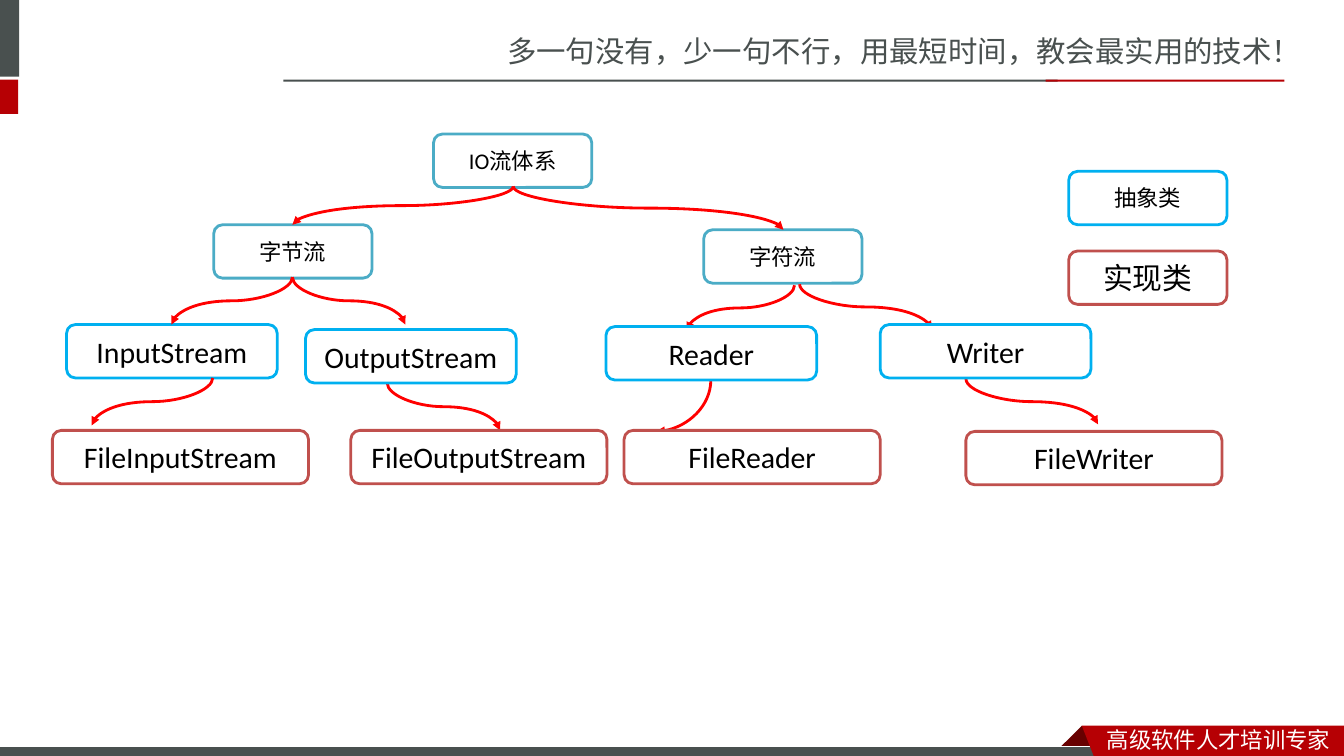
from lxml import etree
from pptx import Presentation
from pptx.dml.color import RGBColor
from pptx.enum import shapes, text
from pptx.oxml.ns import qn
from pptx.util import Inches, Pt

GREY = RGBColor(0x49, 0x50, 0x4F)
CRIMSON = RGBColor(0xB6, 0x00, 0x04)
MAROON = RGBColor(0x68, 0x00, 0x00)
WHITE = RGBColor(0xFF, 0xFF, 0xFF)
BLACK = RGBColor(0x00, 0x00, 0x00)
RED = RGBColor(0xFF, 0x00, 0x00)
TEAL = RGBColor(0x4B, 0xAC, 0xC6)   # stream families
BLUE = RGBColor(0x00, 0xB0, 0xF0)   # abstract classes
BRICK = RGBColor(0xC0, 0x50, 0x4D)  # concrete classes

LATIN, CJK = "Calibri", "Noto Sans CJK SC"
SMALL, LARGE = 16, 21.3
FAMILY_W, ABSTRACT_W, CONCRETE_W, BOX_H = 1.57, 2.09, 2.54, 0.53

# label, left, top, width, outline, size
BACK_BOXES = [
    ("字节流", 2.12, 2.23, FAMILY_W, TEAL, SMALL),
    ("InputStream", 0.66, 3.22, ABSTRACT_W, BLUE, LARGE),
    ("字符流", 6.98, 2.28, FAMILY_W, TEAL, SMALL),
    ("IO流体系", 4.3, 1.33, FAMILY_W, TEAL, SMALL),
    ("抽象类", 10.6, 1.7, FAMILY_W, BLUE, SMALL),
    ("FileInputStream", 0.52, 4.27, CONCRETE_W, BRICK, LARGE),
]
FRONT_BOXES = [
    ("OutputStream", 3.03, 3.27, ABSTRACT_W, BLUE, LARGE),
    ("Reader", 6.01, 3.24, ABSTRACT_W, BLUE, LARGE),
    ("Writer", 8.73, 3.22, ABSTRACT_W, BLUE, LARGE),
    ("实现类", 10.6, 2.49, FAMILY_W, BRICK, LARGE),
    ("FileOutputStream", 3.48, 4.27, CONCRETE_W, BRICK, LARGE),
    ("FileReader", 6.19, 4.27, CONCRETE_W, BRICK, LARGE),
    ("FileWriter", 9.58, 4.28, CONCRETE_W, BRICK, LARGE),
]
# start x, start y, end x, end y
ARROWS = [
    (5.09, 1.85, 2.9, 2.23), (5.09, 1.85, 7.77, 2.28),
    (2.9, 2.75, 1.7, 3.22), (2.9, 2.75, 4.02, 3.22),
    (7.88, 2.83, 6.81, 3.28), (7.93, 2.82, 9.24, 3.27),
    (2.11, 3.75, 0.91, 4.22), (3.84, 3.8, 4.96, 4.27),
    (9.58, 3.76, 10.89, 4.21),
]
QUARTER_ARROW = (7.05, 3.77, 6.51, 4.28)


def write(tf, words, size, color, font):
    p = tf.paragraphs[0]
    r = p.add_run()
    r.text = words
    r.font.size = Pt(size)
    r.font.name = font
    r.font.color.rgb = color
    etree.SubElement(r._r.get_or_add_rPr(), qn("a:ea")).set("typeface", CJK)
    return p


def paint(sp, fill, line=None, width=0.75):
    sp.shadow.inherit = False
    sp.fill.solid()
    sp.fill.fore_color.rgb = fill
    if line is None:
        sp.line.fill.background()
    else:
        sp.line.color.rgb = line
        sp.line.width = Pt(width)


def add_bar(s, left, top, width, height, fill, line=None):
    sp = s.shapes.add_shape(shapes.MSO_SHAPE.RECTANGLE, Inches(left), Inches(top),
                            Inches(width), Inches(height))
    paint(sp, fill, line)


def add_outline(s, points, fill):
    start, *rest = [(Inches(x), Inches(y)) for x, y in points]
    builder = s.shapes.build_freeform(*start)
    builder.add_line_segments(rest, close=True)
    paint(builder.convert_to_shape(), fill)


def add_box(s, label, left, top, width, outline, size):
    sp = s.shapes.add_shape(shapes.MSO_SHAPE.ROUNDED_RECTANGLE, Inches(left),
                            Inches(top), Inches(width), Inches(BOX_H))
    paint(sp, WHITE, outline, 2)
    tf = sp.text_frame
    tf.vertical_anchor = text.MSO_ANCHOR.MIDDLE
    write(tf, label, size, BLACK, LATIN).alignment = text.PP_ALIGN.CENTER


def add_arrow(s, x1, y1, x2, y2, preset="curvedConnector3"):
    """Curve that leaves downwards: laid out sideways, then turned a quarter."""
    mid_x, mid_y = (x1 + x2) / 2, (y1 + y2) / 2
    half_h = abs(x2 - x1) / 2
    half_w = (y2 - y1) / 2 if x2 < x1 else (y1 - y2) / 2
    line = s.shapes.add_connector(
        shapes.MSO_CONNECTOR.CURVE,
        Inches(mid_x - half_w), Inches(mid_y - half_h),
        Inches(mid_x + half_w), Inches(mid_y + half_h))
    line.line.color.rgb = RED
    line.line.width = Pt(2)
    spPr = line._element.spPr
    spPr.find(qn("a:xfrm")).set("rot", str((90 if x2 < x1 else 270) * 60000))
    spPr.find(qn("a:prstGeom")).set("prst", preset)
    etree.SubElement(spPr.find(qn("a:ln")), qn("a:tailEnd")).set("type", "triangle")
    etree.SubElement(spPr, qn("a:effectLst"))


def add_title(s):
    title = s.shapes.title
    title.left, title.top = Inches(4.93), Inches(0.28)
    title.width, title.height = Inches(8.41), Inches(0.47)
    tf = title.text_frame
    tf.word_wrap = True
    tf.auto_size = text.MSO_AUTO_SIZE.NONE
    tf.vertical_anchor = text.MSO_ANCHOR.TOP
    p = write(tf, "多一句没有，少一句不行，用最短时间，教会最实用的技术！", 21, GREY, CJK)
    p.alignment = text.PP_ALIGN.LEFT


def add_frame(s):
    # Side marks and the rule under the title
    add_bar(s, -0.06, 0, 0.25, 0.76, GREY)
    add_bar(s, -0.06, 0.79, 0.24, 0.34, CRIMSON)
    add_bar(s, 2.81, 0.79, 7.68, 0.02, GREY)
    add_bar(s, 10.37, 0.79, 2.37, 0.02, CRIMSON)
    # Footer ribbon
    add_outline(s, [(10.73, 7.2), (10.95, 7.42), (10.94, 7.43),
                    (10.52, 7.43), (10.51, 7.42)], MAROON)
    add_bar(s, -0.01, 7.41, 11, 0.12, GREY, WHITE)
    add_outline(s, [(10.73, 7.2), (13.33, 7.2), (13.33, 7.54), (10.86, 7.53)], CRIMSON)
    footer = s.shapes.add_textbox(Inches(10.88), Inches(7.15), Inches(2.45), Inches(0.37))
    footer.text_frame.word_wrap = True
    write(footer.text_frame, "高级软件人才培训专家", 16, WHITE, CJK)


def main():
    prs = Presentation()
    prs.slide_width, prs.slide_height = Inches(13.33), Inches(7.5)
    s = prs.slides.add_slide(prs.slide_layouts[5])
    add_title(s)
    add_frame(s)
    # Class tree and legend
    for box in BACK_BOXES:
        add_box(s, *box)
    for arrow in ARROWS:
        add_arrow(s, *arrow)
    add_arrow(s, *QUARTER_ARROW, preset="curvedConnector2")
    for box in FRONT_BOXES:
        add_box(s, *box)
    prs.save("out.pptx")


if __name__ == "__main__":
    main()
